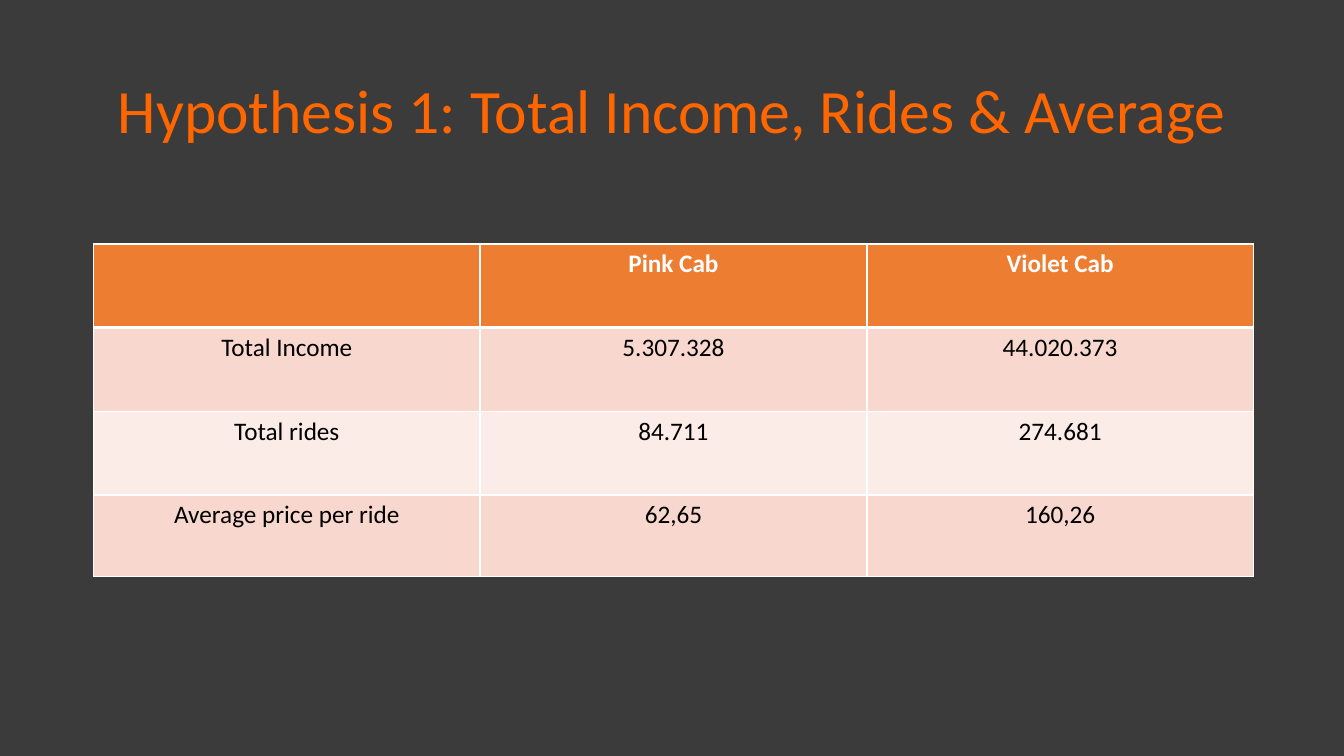
from lxml import etree
from pptx import Presentation
from pptx.dml.color import RGBColor
from pptx.enum.text import MSO_ANCHOR, PP_ALIGN
from pptx.oxml.ns import qn
from pptx.util import Inches, Pt

CENTER = PP_ALIGN.CENTER
MIDDLE = MSO_ANCHOR.MIDDLE
FONT = "Calibri"
BACKGROUND = "3B3B3B"
TITLE_COLOR = "FF6600"
HEADER_FILL = "ED7D31"
BAND_FILLS = ("F8D7CE", "FCECE8")
WHITE = "FFFFFF"
BLACK = "000000"

TITLE = "Hypothesis 1: Total Income, Rides & Average"
CAB_ROWS = [
    ("", "Pink Cab", "Violet Cab"),
    ("Total Income", "5.307.328", "44.020.373"),
    ("Total rides", "84.711", "274.681"),
    ("Average price per ride", "62,65", "160,26"),
]
COLUMN_WIDTHS = (3.83, 3.84, 3.83)
ROW_HEIGHTS = (0.83, 0.83, 0.83, 0.81)


def color(value):
    return RGBColor.from_string(value)


def write_centered(para, text, size, shade, bold=False):
    para.alignment = CENTER
    if not text:
        return
    span = para.add_run()
    span.text = text
    span.font.name = FONT
    span.font.size = Pt(size)
    span.font.bold = bold
    span.font.color.rgb = color(shade)


def add_title(page, left, top, width, height):
    box = page.shapes.add_textbox(
        Inches(left), Inches(top), Inches(width), Inches(height)
    )
    frame = box.text_frame
    frame.word_wrap = True
    frame.vertical_anchor = MIDDLE
    para = frame.paragraphs[0]
    para.line_spacing = 0.9
    write_centered(para, TITLE, 44, TITLE_COLOR)


def set_borders(cell, top, bottom):
    properties = cell._tc.get_or_add_tcPr()
    for side, points in (("L", 1), ("R", 1), ("T", top), ("B", bottom)):
        line = etree.SubElement(properties, qn(f"a:ln{side}"), w=str(Pt(points)))
        fill = etree.SubElement(line, qn("a:solidFill"))
        etree.SubElement(fill, qn("a:srgbClr"), val=WHITE)


def add_cab_table(page, left, top):
    table = page.shapes.add_table(
        len(CAB_ROWS), len(COLUMN_WIDTHS), Inches(left), Inches(top),
        Inches(sum(COLUMN_WIDTHS)), Inches(sum(ROW_HEIGHTS)),
    ).table
    for column, width in zip(table.columns, COLUMN_WIDTHS):
        column.width = Inches(width)
    for row, height in zip(table.rows, ROW_HEIGHTS):
        row.height = Inches(height)
    for row_index, texts in enumerate(CAB_ROWS):
        header = row_index == 0
        for column_index, text in enumerate(texts):
            cell = table.cell(row_index, column_index)
            set_borders(cell, 3 if row_index == 1 else 1, 3 if header else 1)
            cell.fill.solid()
            band = BAND_FILLS[(row_index - 1) % 2]
            cell.fill.fore_color.rgb = color(HEADER_FILL if header else band)
            para = cell.text_frame.paragraphs[0]
            write_centered(para, text, 18, WHITE if header else BLACK, header)


def main():
    deck = Presentation()
    deck.slide_width = Inches(13.33)
    deck.slide_height = Inches(7.5)
    page = deck.slides.add_slide(deck.slide_layouts[6])
    page.background.fill.solid()
    page.background.fill.fore_color.rgb = color(BACKGROUND)
    add_title(page, 0.92, 0.4, 11.5, 1.45)
    add_cab_table(page, 0.93, 2.42)
    deck.save("out.pptx")


if __name__ == "__main__":
    main()
